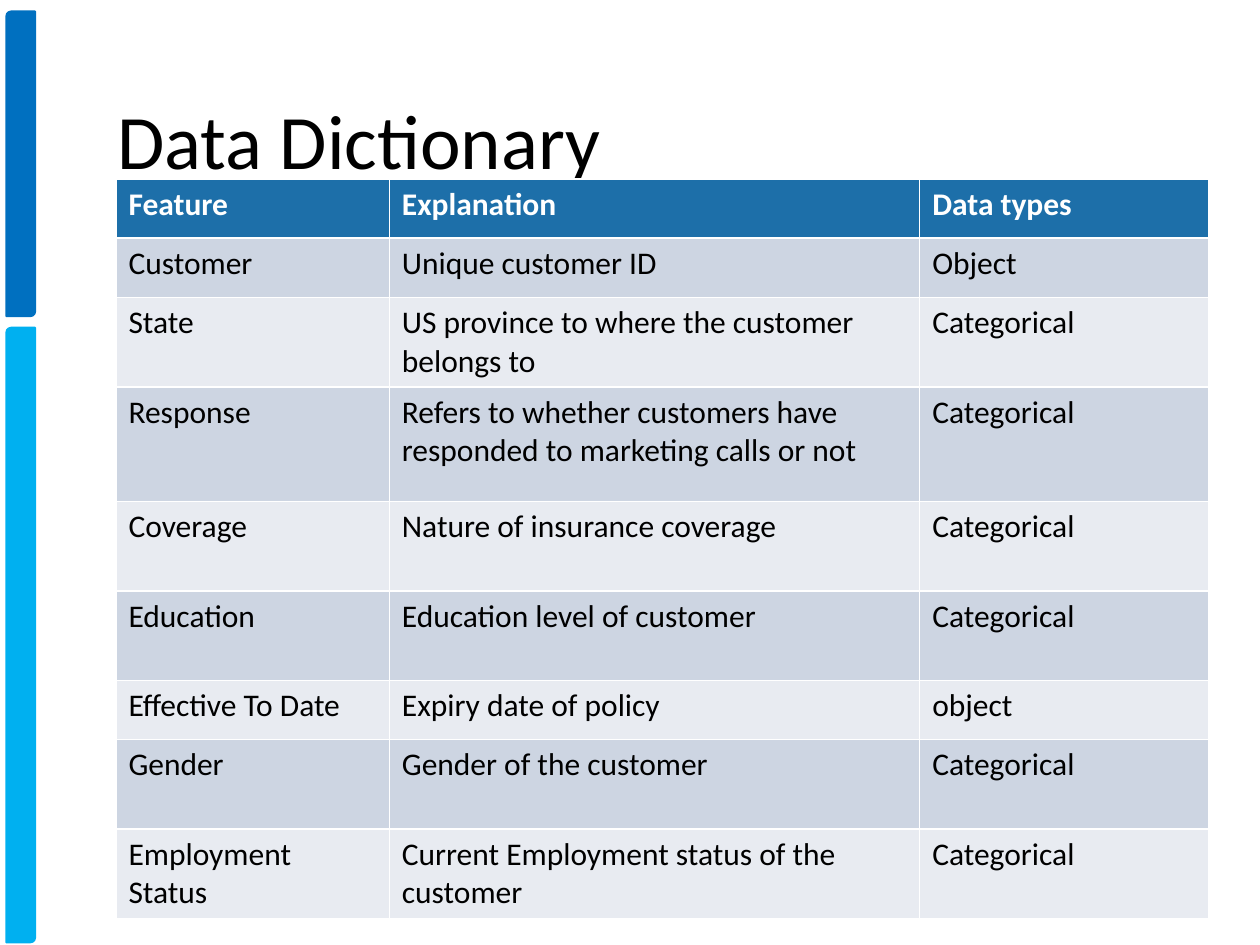
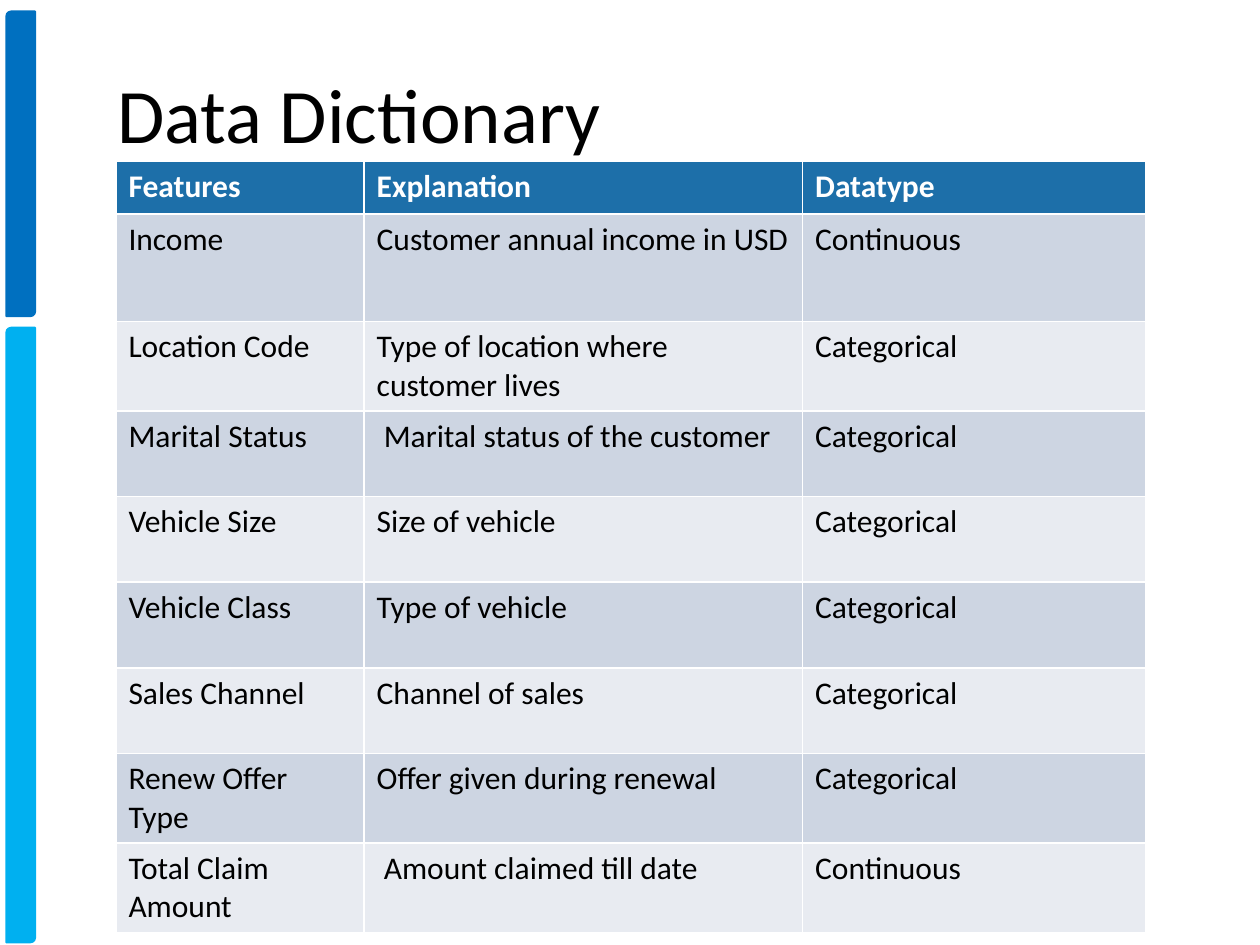
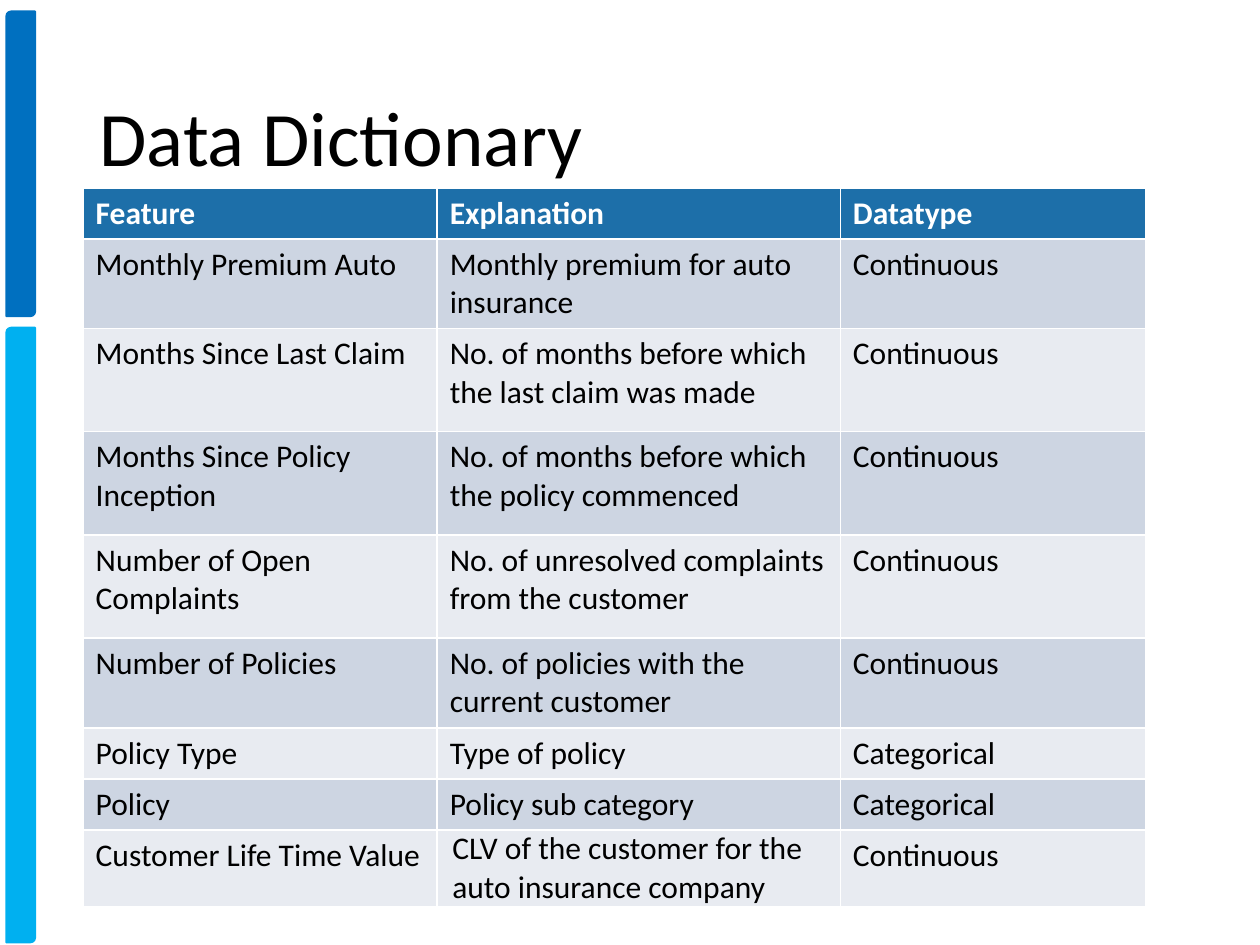
from dataclasses import dataclass

from pptx import Presentation
from pptx.dml.color import RGBColor
from pptx.enum.shapes import MSO_SHAPE
from pptx.enum.text import MSO_ANCHOR, MSO_AUTO_SIZE, PP_ALIGN
from pptx.slide import Slide
from pptx.table import _Cell
from pptx.util import Inches, Pt

COLORS = {
    "dark_bar": "0070C0",
    "light_bar": "00B0F0",
    "header": "1D6FA9",
    "odd_row": "CDD5E2",
    "even_row": "E8EBF1",
    "white": "FFFFFF",
    "black": "000000",
}
FONT = "Calibri"
TITLE = "Data Dictionary"


@dataclass(frozen=True)
class Bar:
    top: float
    height: float
    color: str


@dataclass(frozen=True)
class Area:
    left: float
    top: float
    width: float
    height: float


@dataclass(frozen=True)
class Dictionary:
    title_area: Area
    left: float
    top: float
    columns: tuple[float, ...]
    heights: tuple[float, ...]
    rows: tuple[tuple[str, str, str], ...]
    tight_cells: tuple[tuple[int, int], ...] = ()


BARS = (Bar(0.09, 2.42, "dark_bar"), Bar(2.6, 4.88, "light_bar"))

DICTIONARIES = (
    Dictionary(
        Area(0.83, 0.42, 8.62, 1.45),
        left=0.92,
        top=1.42,
        columns=(2.17, 4.21, 2.29),
        heights=(0.47, 0.47, 0.71, 0.91, 0.71, 0.71, 0.47, 0.71, 0.71),
        rows=(
            ("Feature", "Explanation", "Data types"),
            ("Customer", "Unique customer ID", "Object"),
            ("State", "US province to where the customer belongs to", "Categorical"),
            ("Response", "Refers to whether customers have responded to marketing calls or not", "Categorical"),
            ("Coverage", "Nature of insurance coverage", "Categorical"),
            ("Education", "Education level of customer", "Categorical"),
            ("Effective To Date", "Expiry date of policy", "object"),
            ("Gender", "Gender of the customer", "Categorical"),
            ("Employment Status", "Current Employment status of the customer", "Categorical"),
        ),
    ),
    Dictionary(
        Area(0.83, 0.5, 9, 0.88),
        left=0.92,
        top=1.28,
        columns=(1.97, 3.48, 2.72),
        heights=(0.42, 0.85) + (0.68,) * 7,
        rows=(
            ("Features", "Explanation", "Datatype"),
            ("Income", "Customer annual income in USD", "Continuous"),
            ("Location Code", "Type of location where customer lives", "Categorical"),
            ("Marital Status", " Marital status of the customer", "Categorical"),
            ("Vehicle Size", "Size of vehicle", "Categorical"),
            ("Vehicle Class", "Type of vehicle", "Categorical"),
            ("Sales Channel", "Channel of sales", "Categorical"),
            ("Renew Offer Type", "Offer given during renewal", "Categorical"),
            ("Total Claim Amount", " Amount claimed till date", "Continuous"),
        ),
    ),
    Dictionary(
        Area(0.69, 0.4, 8.62, 1.45),
        left=0.66,
        top=1.49,
        columns=(2.81, 3.2, 2.42),
        heights=(0.4, 0.58, 0.82, 0.82, 0.82, 0.58, 0.4, 0.4, 0.4),
        rows=(
            ("Feature", "Explanation", "Datatype"),
            ("Monthly Premium Auto", "Monthly premium for auto insurance", "Continuous"),
            ("Months Since Last Claim", "No. of months before which the last claim was made", "Continuous"),
            ("Months Since Policy Inception", "No. of months before which the policy commenced", "Continuous"),
            ("Number of Open Complaints", "No. of unresolved complaints from the customer", "Continuous"),
            ("Number of Policies", "No. of policies with the current customer", "Continuous"),
            ("Policy Type", "Type of policy", "Categorical"),
            ("Policy", "Policy sub category", "Categorical"),
            ("Customer Life Time Value", "CLV of the customer for the auto insurance company", "Continuous"),
        ),
        tight_cells=((8, 1),),
    ),
)


def color(name: str) -> RGBColor:
    return RGBColor.from_string(COLORS[name])


def draw_bar(page: Slide, bar: Bar) -> None:
    shape = page.shapes.add_shape(
        MSO_SHAPE.ROUND_2_DIAG_RECTANGLE,
        Inches(0.05), Inches(bar.top), Inches(0.23), Inches(bar.height),
    )
    shape.shadow.inherit = False
    shape.fill.solid()
    shape.fill.fore_color.rgb = color(bar.color)
    shape.line.color.rgb = color(bar.color)
    shape.line.width = Pt(1)


def draw_title(page: Slide, area: Area) -> None:
    box = page.shapes.title
    box.left, box.top = Inches(area.left), Inches(area.top)
    box.width, box.height = Inches(area.width), Inches(area.height)
    frame = box.text_frame
    frame.text = TITLE
    frame.word_wrap = True
    frame.auto_size = MSO_AUTO_SIZE.NONE
    frame.vertical_anchor = MSO_ANCHOR.MIDDLE
    para = frame.paragraphs[0]
    para.alignment = PP_ALIGN.LEFT
    para.line_spacing = 0.9
    para.font.name = FONT
    para.font.size = Pt(44)
    para.font.color.rgb = color("black")


def fill_cell(cell: _Cell, text: str, row_number: int) -> None:
    is_header = row_number == 0
    fill_name = "header" if is_header else "odd_row" if row_number % 2 else "even_row"
    cell.fill.solid()
    cell.fill.fore_color.rgb = color(fill_name)
    cell.text = text
    font = cell.text_frame.paragraphs[0].font
    font.name = FONT
    font.size = Pt(18)
    font.bold = is_header
    font.color.rgb = color("white" if is_header else "black")


def draw_dictionary(page: Slide, dictionary: Dictionary) -> None:
    table = page.shapes.add_table(
        len(dictionary.rows), len(dictionary.columns),
        Inches(dictionary.left), Inches(dictionary.top),
        Inches(sum(dictionary.columns)), Inches(sum(dictionary.heights)),
    ).table
    for column, width in zip(table.columns, dictionary.columns):
        column.width = Inches(width)
    for row, height in zip(table.rows, dictionary.heights):
        row.height = Inches(height)
    for row_number, texts in enumerate(dictionary.rows):
        for column_number, text in enumerate(texts):
            fill_cell(table.cell(row_number, column_number), text, row_number)
    for position in dictionary.tight_cells:
        cell = table.cell(*position)
        cell.margin_left = cell.margin_right = Inches(0.12)
        cell.margin_top = cell.margin_bottom = Inches(0)


deck = Presentation()
deck.slide_width, deck.slide_height = Inches(10), Inches(7.5)
title_only = deck.slide_layouts.get_by_name("Title Only")
for dictionary in DICTIONARIES:
    page = deck.slides.add_slide(title_only)
    for bar in BARS:
        draw_bar(page, bar)
    draw_title(page, dictionary.title_area)
    draw_dictionary(page, dictionary)
deck.save("out.pptx")
